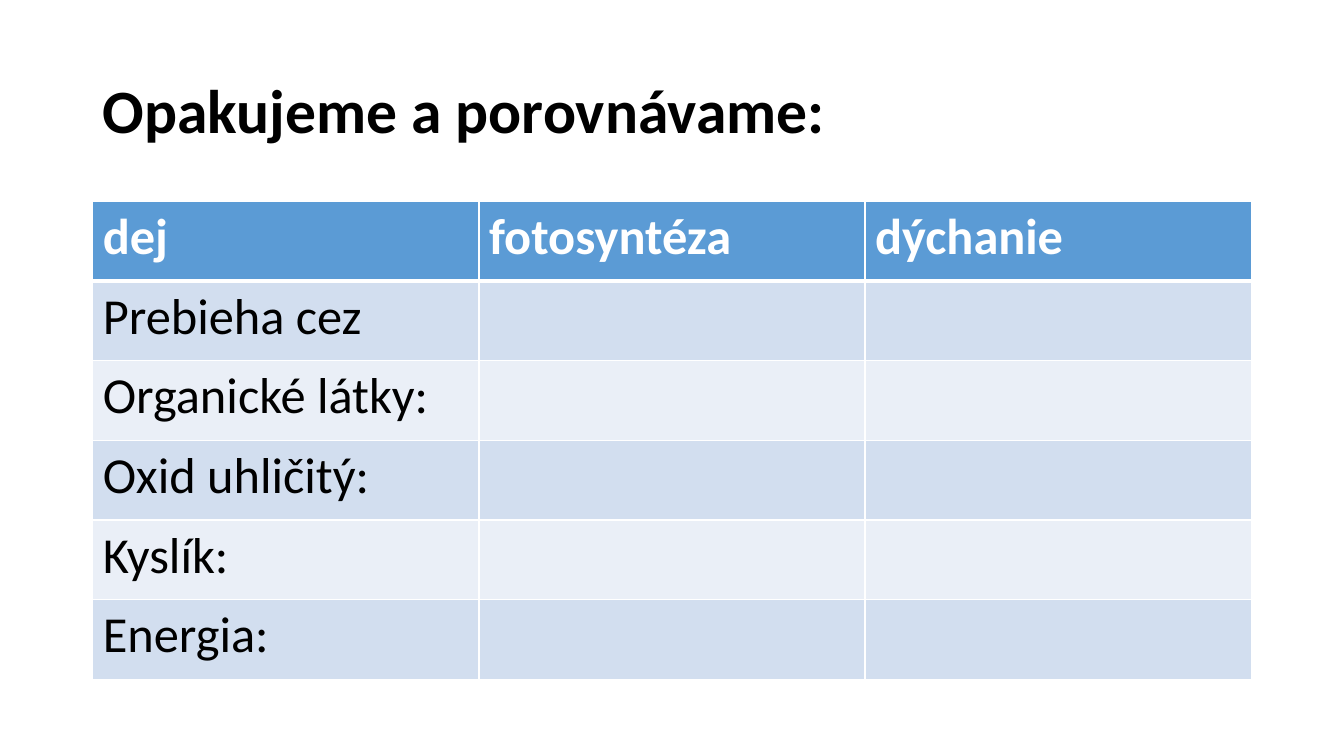
import pptx
import pptx.util
import pptx.dml.color
import pptx.enum.text
import pptx.oxml
import pptx.oxml.ns

HEADS = ["dej", "fotosyntéza", "dýchanie"]
TOPICS = ["Prebieha cez", "Organické látky:", "Oxid uhličitý:", "Kyslík:", "Energia:"]


def color(text):
    return pptx.dml.color.RGBColor.from_string(text)


def assign(target, values):
    for name, value in values.items():
        setattr(target, name, value)


class Page:
    """Style and current slide; the grid starts at the table's top left corner."""
    left, top, col, row = 0.92, 2, 3.83, 0.79
    font = "Calibri"
    head, bands, line = "5B9BD5", ["D2DEEF", "EAEFF7"], "FFFFFF"

    def __init__(self, deck):
        self.slide = deck.slides.add_slide(deck.slide_layouts[5])

    def place(self, x, y, cols, rows):
        """Turn grid units into left, top, width and height."""
        sizes = (self.left + x * self.col, self.top + y * self.row,
                 cols * self.col, rows * self.row)
        return [pptx.util.Inches(size) for size in sizes]

    def label(self, frame, text, size, ink, bold):
        part = frame.paragraphs[0]
        part.alignment = pptx.enum.text.PP_ALIGN.LEFT
        run = part.add_run()
        run.text = text
        assign(run.font, {"name": self.font, "size": pptx.util.Pt(size), "bold": bold})
        run.font.color.rgb = color(ink)

    def title(self, text, *area):
        shape = self.slide.shapes.title
        assign(shape, dict(zip(("left", "top", "width", "height"), self.place(*area))))
        frame = shape.text_frame
        assign(frame, {"vertical_anchor": pptx.enum.text.MSO_ANCHOR.MIDDLE,
                       "word_wrap": True,
                       "auto_size": pptx.enum.text.MSO_AUTO_SIZE.NONE})
        self.label(frame, text, 44, "000000", True)
        frame.paragraphs[0].line_spacing = 0.9

    def border(self, cell, side, width):
        cell._tc.get_or_add_tcPr().append(pptx.oxml.parse_xml(
            f'<a:ln{side} {pptx.oxml.ns.nsdecls("a")} w="{pptx.util.Pt(width)}">'
            f'<a:solidFill><a:srgbClr val="{self.line}"/></a:solidFill></a:ln{side}>'))

    def table(self, heads, topics):
        count = len(topics) + 1
        area = self.place(0, 0, len(heads), count)
        grid = self.slide.shapes.add_table(count, len(heads), *area).table
        for y in range(count):
            grid.rows[y].height = pptx.util.Inches(self.row)
            for x, head in enumerate(heads):
                cell = grid.cell(y, x)
                # The rule under the heading row belongs to both rows it touches.
                widths = {"L": 1, "R": 1, "T": 3 if y == 1 else 1, "B": 3 if y == 0 else 1}
                for side, width in widths.items():
                    self.border(cell, side, width)
                cell.fill.solid()
                cell.fill.fore_color.rgb = color(self.bands[(y - 1) % 2] if y else self.head)
                if y == 0:
                    self.label(cell.text_frame, head, 36, "FFFFFF", True)
                elif x == 0:
                    self.label(cell.text_frame, topics[y - 1], 36, "000000", False)


def main():
    deck = pptx.Presentation()
    assign(deck, {"slide_width": pptx.util.Inches(13.33),
                  "slide_height": pptx.util.Inches(7.5)})
    page = Page(deck)
    page.title("Opakujeme a porovnávame:", 0, -2.03, 3, 1.84)
    page.table(HEADS, TOPICS)
    deck.save("out.pptx")


if __name__ == "__main__":
    main()
